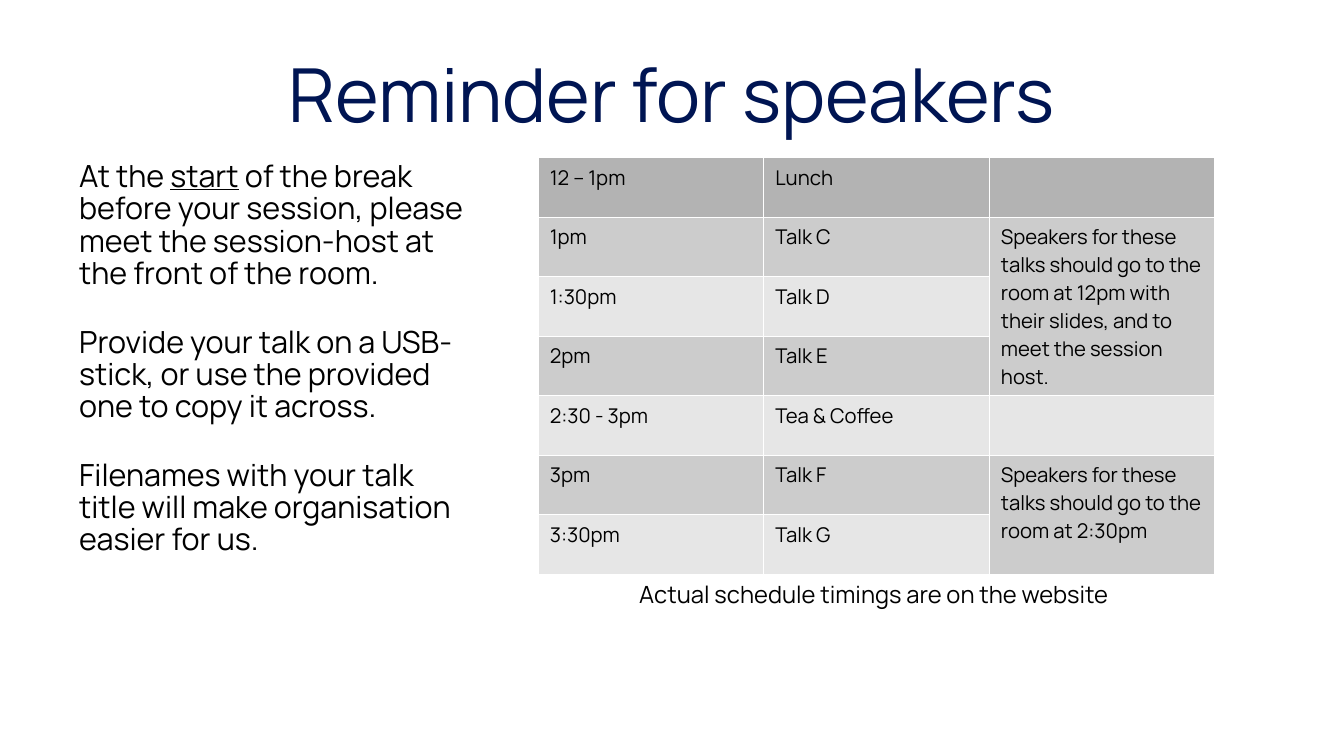
from dataclasses import dataclass
from lxml import etree
from pptx import Presentation
from pptx import util as u
from pptx.dml.color import RGBColor
from pptx.enum import text
from pptx.oxml.ns import qn


@dataclass
class Theme:
    font: str = "Manrope"
    navy: str = "001553"
    ink: str = "000000"
    rule: str = "FFFFFF"
    head: str = "B3B3B3"
    dark: str = "CCCCCC"
    light: str = "E6E6E6"
    title: int = 44
    body: int = 18
    note: int = 14
    cell: int = 12


theme = Theme()


def style(frame, size, color=theme.ink, align=None):
    for para in frame.paragraphs:
        para.alignment = align
        for run in para.runs:
            run.font.name = theme.font
            run.font.size = u.Pt(size)
            run.font.color.rgb = RGBColor.from_string(color)


def add_box(left, top, width, height):
    box = slide.shapes.add_textbox(u.Cm(left), u.Cm(top), u.Cm(width), u.Cm(height))
    box.text_frame.word_wrap = True
    return box.text_frame


deck = Presentation()
deck.slide_width, deck.slide_height = u.Cm(28), u.Cm(15.75)
slide = deck.slides.add_slide(deck.slide_layouts[6])
center = text.PP_ALIGN.CENTER

# Title
title = add_box(1.4, 0.63, 25.2, 2.62)
title.margin_left = title.margin_right = title.margin_top = title.margin_bottom = 0
title.vertical_anchor = text.MSO_ANCHOR.MIDDLE
title.text = "Reminder for speakers"
style(title, theme.title, theme.navy, center)

# Advice on the left, with one word underlined
advice = [
    ["At the ", "start", " of the break before your session, please meet the "
     "session-host at the front of the room."],
    ["Provide your talk on a USB-stick, or use the provided one to copy it across."],
    ["Filenames with your talk title will make organisation easier for us."],
]
body = add_box(1.4, 3.25, 8.61, 9.19)
for i, parts in enumerate(advice):
    para = body.add_paragraph() if i else body.paragraphs[0]
    para.line_spacing = 0.88
    if i:
        para.space_before = u.Pt(21.6)
    for part in parts:
        run = para.add_run()
        run.text = part
        if part == "start":
            run.font.underline = True
style(body, theme.body)

# Schedule
rows = [
    ("12 – 1pm", "Lunch", ""),
    ("1pm", "Talk C", "Speakers for these talks should go to the room at 12pm with "
     "their slides, and to meet the session host."),
    ("1:30pm", "Talk D", ""),
    ("2pm", "Talk E", ""),
    ("2:30 - 3pm", "Tea & Coffee", ""),
    ("3pm", "Talk F", "Speakers for these talks should go to the room at 2:30pm"),
    ("3:30pm", "Talk G", ""),
]
wide, high = 4.7, 1.24
grid = slide.shapes.add_table(
    len(rows), 3, u.Cm(11.2), u.Cm(3.28), u.Cm(3 * wide), u.Cm(len(rows) * high)).table
for col in grid.columns:
    col.width = u.Cm(wide)
for r, row in enumerate(rows):
    grid.rows[r].height = u.Cm(high)
    fill = theme.head if r == 0 else theme.dark if r % 2 else theme.light
    for c, words in enumerate(row):
        cell = grid.cell(r, c)
        cell.text = words
        style(cell.text_frame, theme.cell)
        if not words:
            cell.text_frame.paragraphs[0].font.size = u.Pt(theme.cell)
        # Borders come before the fill in the cell properties
        props = cell._tc.get_or_add_tcPr()
        for side in ("lnL", "lnR", "lnT", "lnB"):
            line = etree.SubElement(props, qn("a:" + side), w="762")
            solid = etree.SubElement(line, qn("a:solidFill"))
            etree.SubElement(solid, qn("a:srgbClr"), val=theme.rule)
        cell.fill.solid()
        cell.fill.fore_color.rgb = RGBColor.from_string(fill)

# Shared notes span the talks of a session
for first, last in ((1, 3), (5, 6)):
    grid.cell(first, 2).merge(grid.cell(last, 2))

# Caption
note = add_box(11.2, 11.96, 14.02, 0.84)
note.text = "Actual schedule timings are on the website"
style(note, theme.note, align=center)

deck.save("out.pptx")
